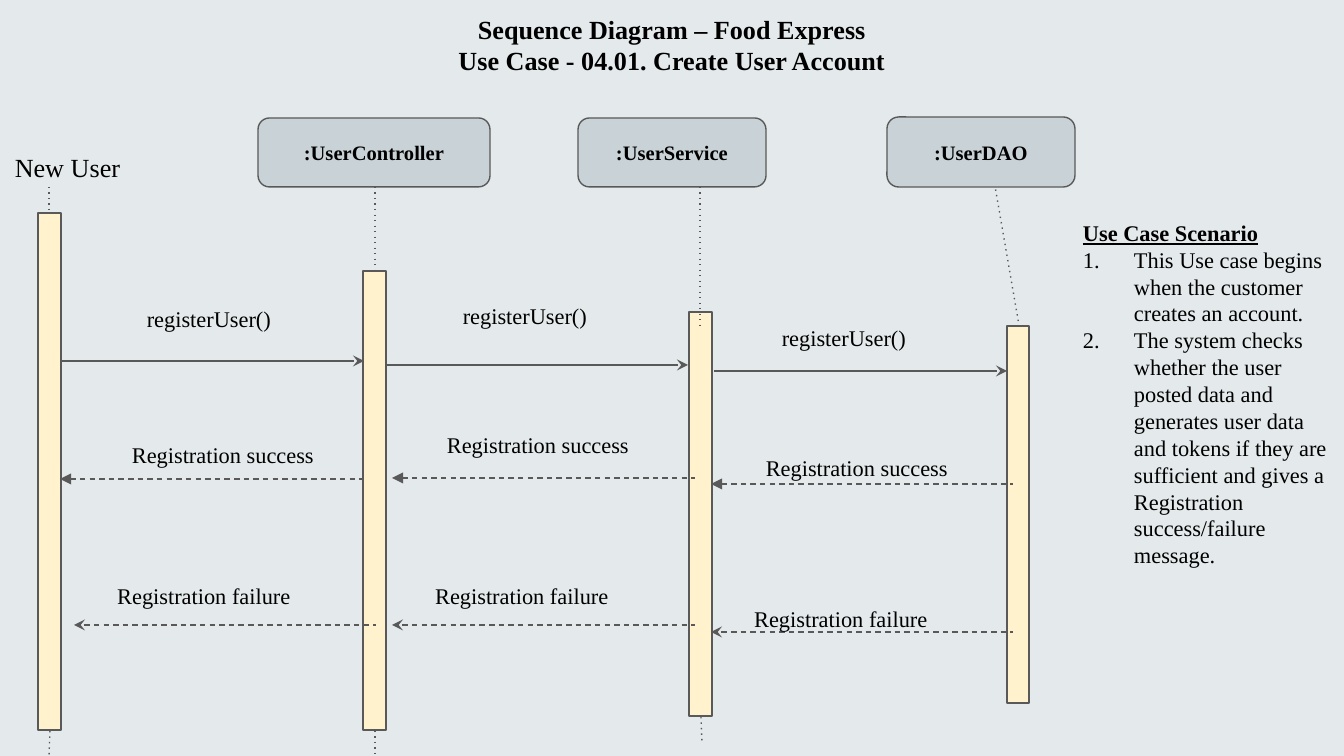
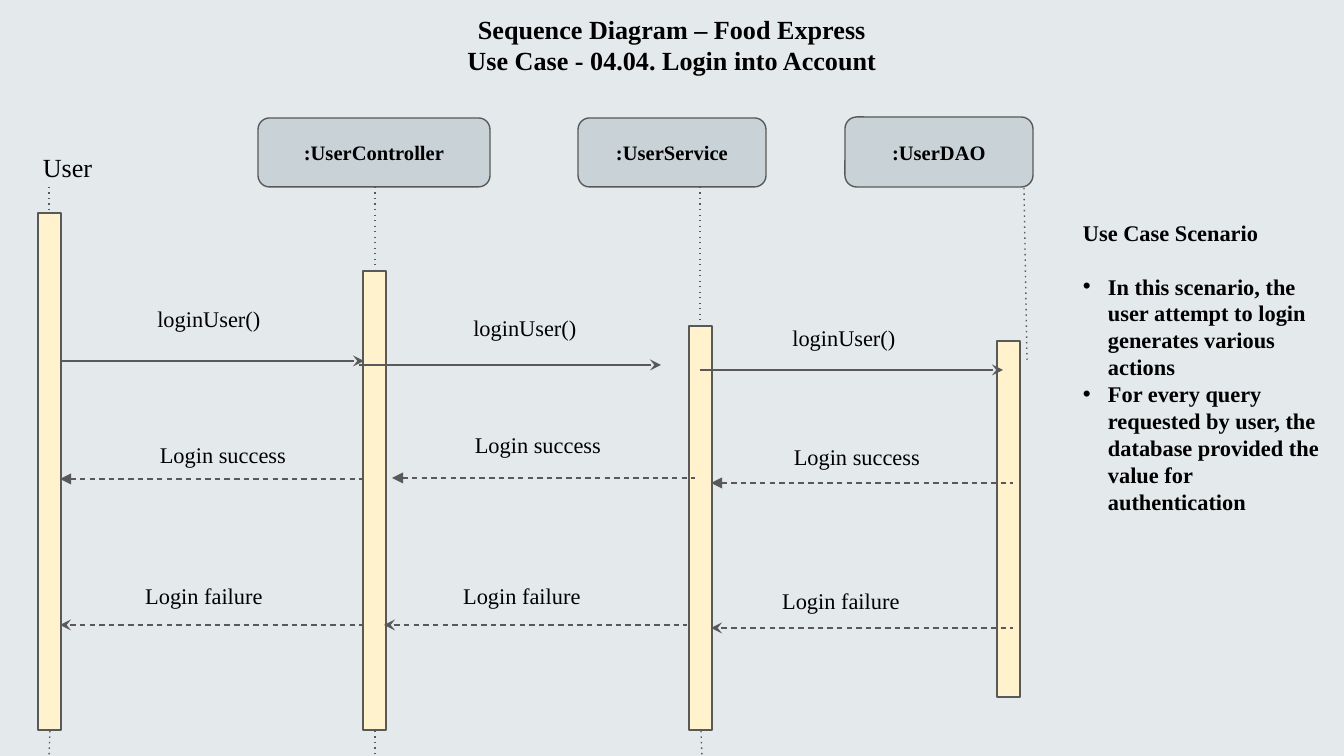
from lxml import etree
from pptx import Presentation
from pptx.dml.color import RGBColor
from pptx.enum.shapes import MSO_CONNECTOR as CONN, MSO_SHAPE as SHAPE
from pptx.enum.text import MSO_ANCHOR as ANCHOR, MSO_AUTO_SIZE as AUTO, PP_ALIGN as ALIGN
from pptx.oxml.ns import qn
from pptx.util import Pt

PX = 914400 / 134.4
FONT = "Times New Roman"
BACK, HEAD, BAR, LINE, INK = "E4E9EB", "C9D3D7", "FFF2CC", "595959", "000000"
px = lambda *values: [round(v * PX) for v in values]
rgb = RGBColor.from_string


def write(shape, lines, size, bold=False, align=ALIGN.CENTER, anchor=ANCHOR.MIDDLE, inset=(13, 13)):
    """Fill a shape with one paragraph per line."""
    tf = shape.text_frame
    tf.word_wrap = True
    tf.auto_size = AUTO.NONE
    tf.vertical_anchor = anchor
    tf.margin_left = tf.margin_right = px(inset[0])[0]
    tf.margin_top = tf.margin_bottom = px(inset[1])[0]
    for i, line in enumerate(lines):
        p = tf.add_paragraph() if i else tf.paragraphs[0]
        p.alignment = align
        r = p.add_run()
        r.text = line
        r.font.name, r.font.size, r.font.bold = FONT, Pt(size), bold
        r.font.color.rgb = rgb(INK)
    return tf


def connect(s, x1, y1, x2, y2, dash="solid", **ends):
    """Draw a line; ends maps headEnd or tailEnd to an arrow type."""
    c = s.shapes.add_connector(CONN.STRAIGHT, *px(x1, y1, x2, y2))
    c.line.color.rgb = rgb(LINE)
    c.line.width = Pt(0.75)
    ln = c.line._get_or_add_ln()
    etree.SubElement(ln, qn("a:prstDash"), val=dash)
    for tag, arrow in ends.items():
        etree.SubElement(ln, qn("a:" + tag), type=arrow)
    etree.SubElement(c._element.spPr, qn("a:effectLst"))


# Parts both diagrams share: x, y, width, height or x1, y1, x2, y2
HEADS = [(":UserController", 258, 118, 232, 69), (":UserService", 578, 118, 188, 69)]
BARS = [(38, 213, 23, 517), (363, 271, 23, 459)]
LIFELINES = [(49, 187, 49, 212), (375, 187, 375, 271), (700, 187, 700, 326),
             (50, 731, 49, 756), (375, 731, 375, 756)]
# Message rows: label x per column, dash, arrowhead
ROWS = [
    ((59, 375, 694), "solid", {"tailEnd": "stealth"}),
    ((73, 388, 707), "dash", {"headEnd": "triangle"}),
    ((54, 372, 691), "dash", {"headEnd": "stealth"}),
]

# What differs; each message is label y, line x1, x2, y
SLIDES = [
    dict(
        title="Use Case - 04.01. Create User Account",
        actor="New User",
        dao=(887, 117, 188, 70),
        bars=[(689, 312, 23, 404), (1007, 326, 22, 377)],
        lifelines=[(701, 717, 702, 742), (990, 157, 1019, 325)],
        labels=["registerUser()", "Registration success", "Registration failure"],
        messages=[
            [(297, 62, 364, 361), (294, 386, 688, 365), (316, 714, 1007, 371)],
            [(433, 60, 363, 479), (423, 392, 695, 478), (446, 711, 1013, 484)],
            [(574, 74, 376, 625), (574, 392, 695, 625), (597, 711, 1013, 632)],
        ],
        notes=["This Use case begins when the customer creates an account.",
               "The system checks whether the user posted data and generates user data and "
               "tokens if they are sufficient and gives a Registration success/failure message."],
        numbered=True, indent=51, notes_height=556,
    ),
    dict(
        title="Use Case - 04.04. Login into Account",
        actor="User",
        dao=(845, 117, 188, 70),
        bars=[(689, 326, 23, 404), (997, 341, 23, 356)],
        lifelines=[(701, 731, 702, 756), (1024, 188, 1027, 361)],
        labels=["loginUser()", "Login success", "Login failure"],
        messages=[
            [(297, 62, 364, 361), (306, 359, 661, 365), (316, 700, 1003, 370)],
            [(433, 60, 363, 479), (423, 392, 695, 478), (435, 711, 1013, 483)],
            [(574, 60, 362, 625), (574, 384, 687, 625), (579, 711, 1013, 628)],
        ],
        notes=["In this scenario, the user attempt to login generates various actions",
               "For every query requested by user, the database provided the value for "
               "authentication"],
        numbered=False, indent=25, notes_height=421,
    ),
]

prs = Presentation()
prs.slide_width, prs.slide_height = px(1344, 756)

for d in SLIDES:
    s = prs.slides.add_slide(prs.slide_layouts[5])
    s.background.fill.solid()
    s.background.fill.fore_color.rgb = rgb(BACK)

    # Title
    title = s.shapes.title
    title.left, title.top, title.width, title.height = px(0, 0, 1344, 82)
    write(title, ["Sequence Diagram – Food Express", d["title"]], 14, True, anchor=ANCHOR.TOP)

    # Activation bars, lifelines, then the object heads over them
    bars = [(SHAPE.RECTANGLE, BAR, "", box) for box in BARS + d["bars"]]
    heads = [(SHAPE.ROUNDED_RECTANGLE, HEAD, name, box)
             for name, *box in HEADS + [(":UserDAO", *d["dao"])]]
    for kind, color, name, box in bars + heads:
        if name == HEADS[0][0]:
            for line in LIFELINES + d["lifelines"]:
                connect(s, *line, dash="dot")
        sp = s.shapes.add_shape(kind, *px(*box))
        sp.shadow.inherit = False
        sp.fill.solid()
        sp.fill.fore_color.rgb = rgb(color)
        sp.line.color.rgb = rgb(LINE)
        sp.line.width = Pt(0.75)
        if name:
            write(sp, [name], 11, True)

    # Actor
    actor = s.shapes.add_textbox(*px(-19, 138, 173, 44))
    write(actor, [d["actor"]], 14, anchor=ANCHOR.TOP)

    # Messages
    for (label_xs, dash, ends), label, row in zip(ROWS, d["labels"], d["messages"]):
        for label_x, (label_y, x1, x2, y) in zip(label_xs, row):
            connect(s, x1, y, x2, y, dash, **ends)
            write(s.shapes.add_textbox(*px(label_x, label_y, 300, 44)), [label], 12)

    # Scenario notes
    box = s.shapes.add_textbox(*px(1070, 212, 274, d["notes_height"]))
    tf = write(box, ["Use Case Scenario"] + d["notes"], 12, not d["numbered"],
               ALIGN.LEFT, ANCHOR.TOP, (13, 7))
    heading, *items = tf.paragraphs
    heading.runs[0].font.bold = True
    if d["numbered"]:
        heading.runs[0].font.underline = True
    else:
        heading.space_after = Pt(14.4)
    for p in items:
        pPr = p._p.get_or_add_pPr()
        indent = px(d["indent"])[0]
        pPr.set("marL", str(indent))
        pPr.set("indent", str(-indent))
        clr = etree.SubElement(pPr, qn("a:buClr"))
        etree.SubElement(clr, qn("a:srgbClr"), val=INK)
        if d["numbered"]:
            etree.SubElement(pPr, qn("a:buFont"), typeface=FONT)
            etree.SubElement(pPr, qn("a:buAutoNum"), type="arabicPeriod")
        else:
            etree.SubElement(pPr, qn("a:buFont"), typeface="Arial")
            etree.SubElement(pPr, qn("a:buChar"), char="•")

prs.save("out.pptx")
